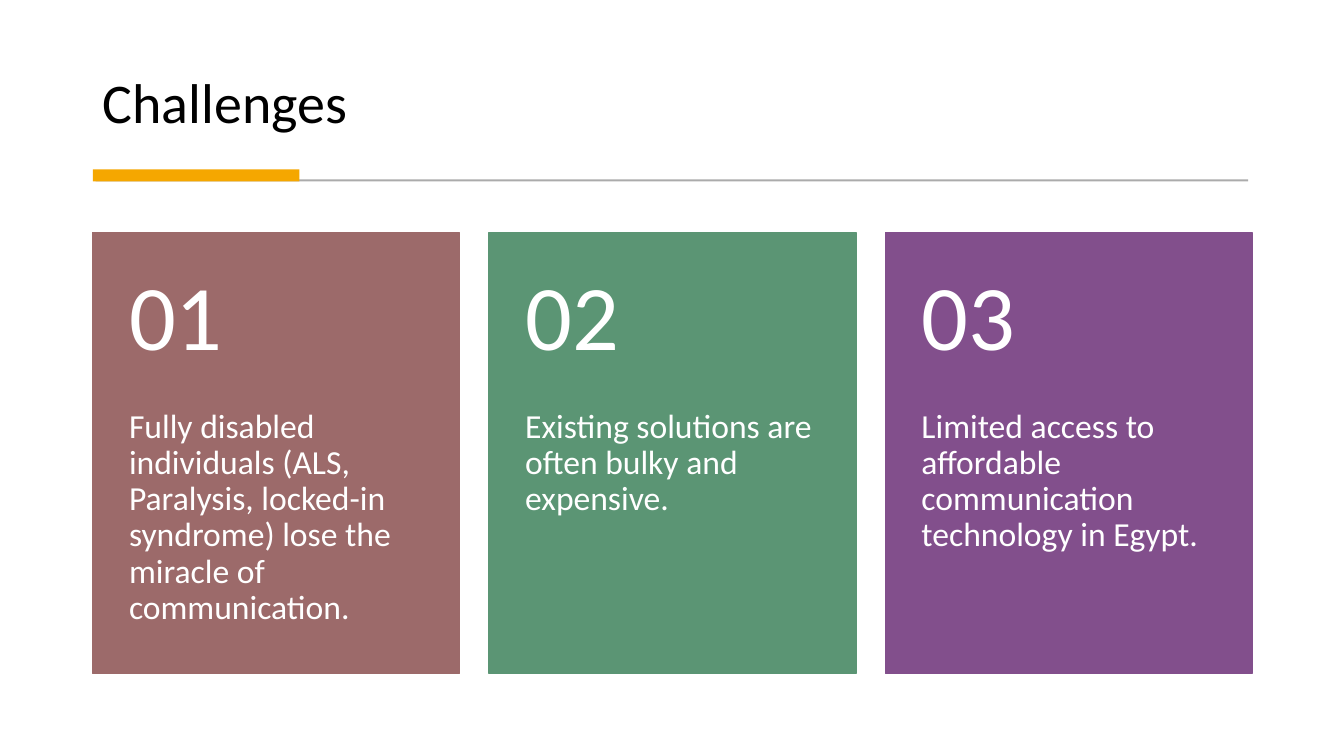
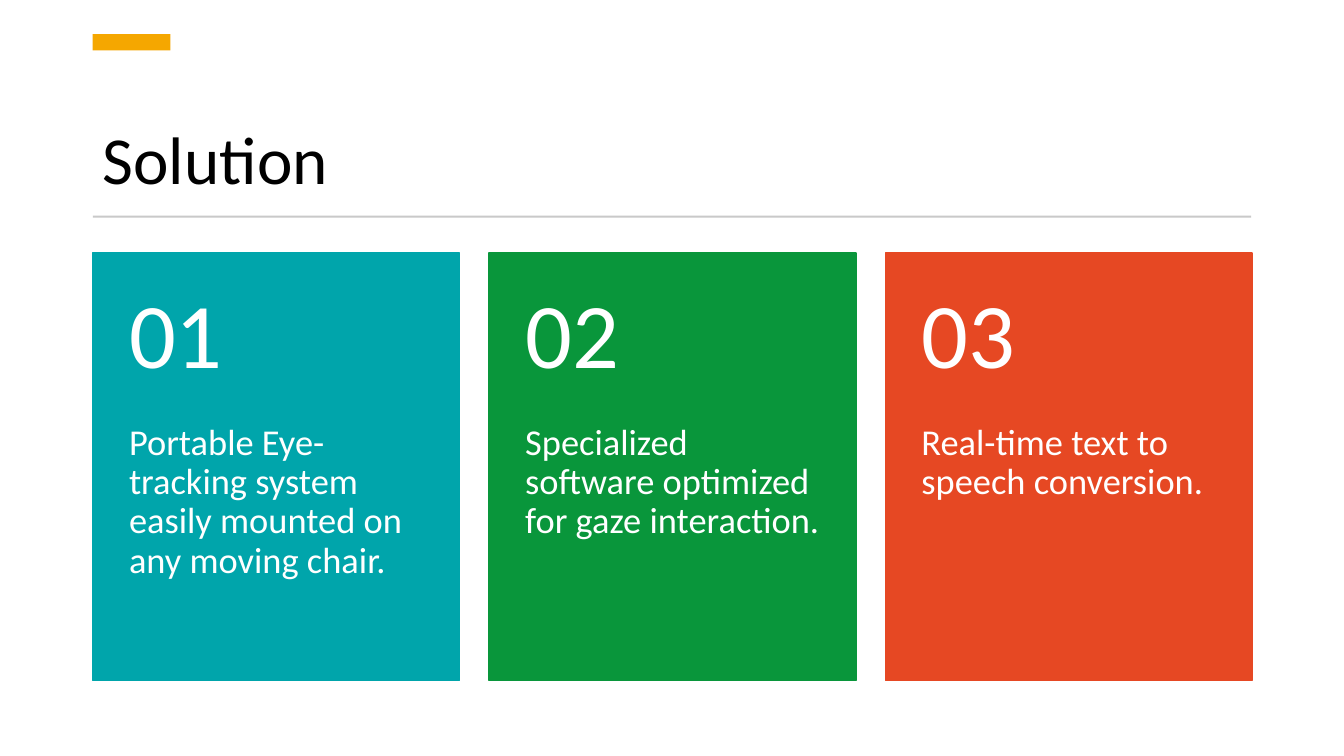
"""Builds the Challenges and Solution slides, each with three numbered cards."""
from pptx import Presentation
from pptx.dml.color import RGBColor
from pptx.enum.shapes import MSO_SHAPE
from pptx.enum.text import MSO_ANCHOR
from pptx.util import Inches, Pt

RECT = MSO_SHAPE.RECTANGLE
TOP, MID, LOW = MSO_ANCHOR.TOP, MSO_ANCHOR.MIDDLE, MSO_ANCHOR.BOTTOM

FONT = "Calibri"
COLORS = {
    "black": "000000", "white": "FFFFFF", "amber": "F5A700",
    "gray": "ABABAB", "silver": "C9C9C9",
    "rose": "9C6A6A", "sage": "5B9574", "plum": "824F8C",
    "teal": "00A5AB", "green": "09963B", "red": "E64823",
}
LEFT, WIDTH = 0.92, 11.5
CARD = 3.64
STEP = (WIDTH - CARD) / 2
HEAD = 0.4

SLIDES = [
    {
        "title": "Challenges", "size": 40, "box": (0.28, 1.11),
        "rule": (0.95, 1.78, 11.43, 0.02, "gray"),
        "accent": (LEFT, 1.68, 2.05, 0.12, "amber"),
        "top": 2.31, "height": 4.37, "body": 24,
        "cards": [
            ("rose", "Fully disabled individuals (ALS, Paralysis, locked-in "
                     "syndrome) lose the miracle of communication."),
            ("sage", "Existing solutions are often bulky and expensive."),
            ("plum", "Limited access to affordable communication technology in Egypt."),
        ],
    },
    {
        "title": "Solution", "size": 48, "box": (0.75, 1.27),
        "rule": (LEFT, 2.14, 11.49, 0.02, "silver"),
        "accent": (LEFT, 0.34, 0.77, 0.16, "amber"),
        "top": 2.51, "height": 4.24, "body": 26,
        "cards": [
            ("teal", "Portable Eye-tracking system easily mounted on any moving chair."),
            ("green", "Specialized software optimized for gaze interaction."),
            ("red", "Real-time text to speech conversion."),
        ],
    },
]


def add_rect(slide, x, y, w, h, color, line=0):
    shape = slide.shapes.add_shape(RECT, Inches(x), Inches(y), Inches(w), Inches(h))
    shape.shadow.inherit = False
    shape.fill.solid()
    shape.fill.fore_color.rgb = RGBColor.from_string(COLORS[color])
    if line:
        shape.line.color.rgb = RGBColor.from_string(COLORS[color])
        shape.line.width = Pt(line)
    else:
        shape.line.fill.background()


def add_text(slide, x, y, w, h, text, size, color, anchor, insets):
    box = slide.shapes.add_textbox(Inches(x), Inches(y), Inches(w), Inches(h))
    frame = box.text_frame
    frame.word_wrap = True
    frame.vertical_anchor = anchor
    side, above, below = insets
    frame.margin_left = frame.margin_right = Inches(side)
    frame.margin_top, frame.margin_bottom = Inches(above), Inches(below)
    para = frame.paragraphs[0]
    para.text = text
    para.line_spacing = 0.9
    para.font.name = FONT
    para.font.size = Pt(size)
    para.font.color.rgb = RGBColor.from_string(COLORS[color])


deck = Presentation()
deck.slide_width, deck.slide_height = Inches(13.33), Inches(7.5)
blank = deck.slide_layouts[6]

for data in SLIDES:
    slide = deck.slides.add_slide(blank)
    top, height = data["box"]
    add_text(slide, LEFT, top, WIDTH, height, data["title"], data["size"],
             "black", LOW, (0.1, 0.05, 0.05))
    add_rect(slide, *data["rule"])
    add_rect(slide, *data["accent"])

    top, height = data["top"], data["height"]
    head = height * HEAD
    for i, (color, text) in enumerate(data["cards"]):
        x = LEFT + i * STEP
        add_rect(slide, x, top, CARD, height, color, line=1)
        add_text(slide, x, top, CARD, head, f"{i + 1:02}", 66,
                 "white", MID, (0.36, 0.18, 0.18))
        add_text(slide, x, top + head, CARD, height - head, text, data["body"],
                 "white", TOP, (0.36, 0, 0.36))

deck.save("out.pptx")
